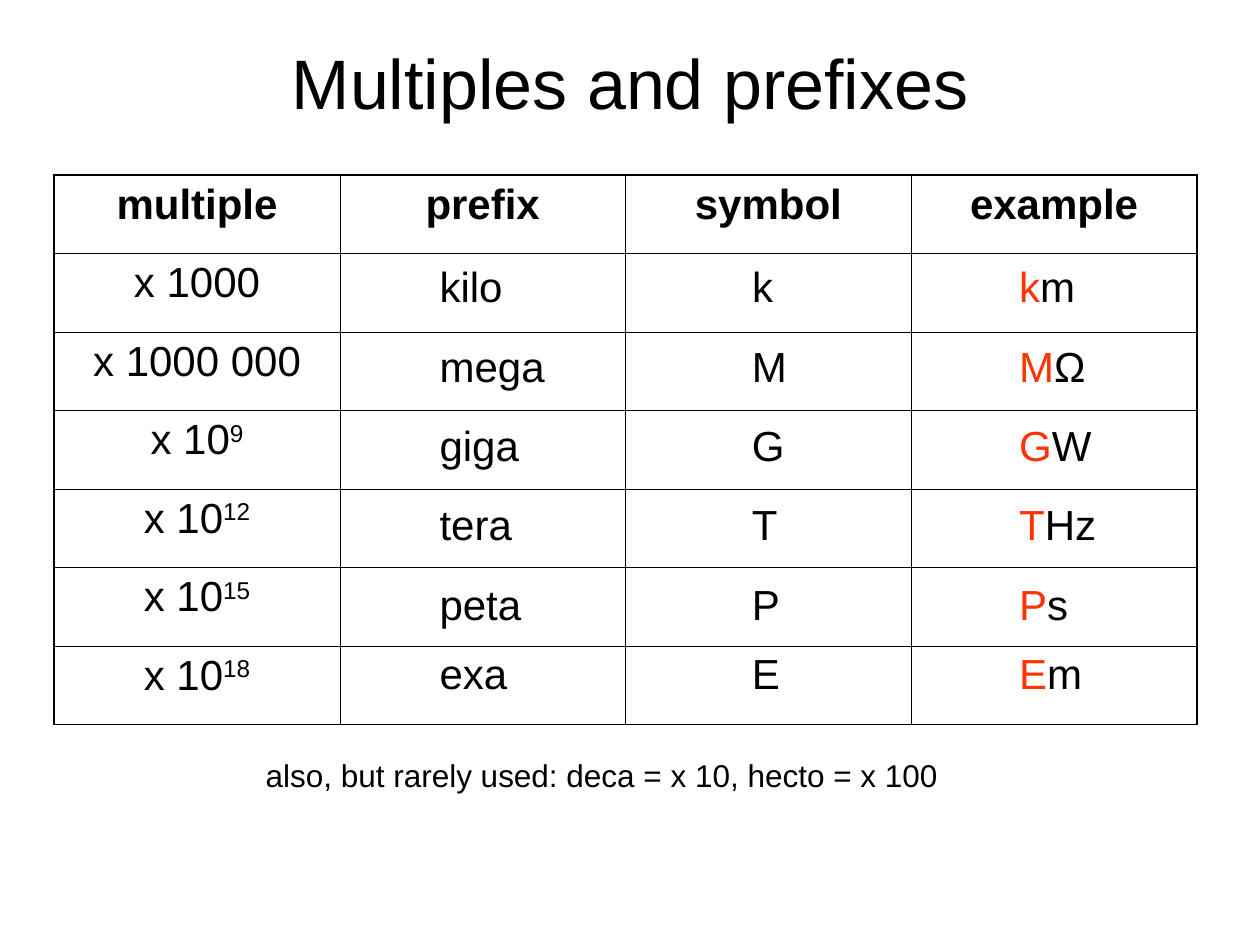
from dataclasses import dataclass

from lxml.etree import SubElement
from pptx import Presentation
from pptx.dml.color import RGBColor
from pptx.enum.text import MSO_ANCHOR, MSO_AUTO_SIZE, PP_ALIGN
from pptx.oxml.ns import qn
from pptx.util import Inches, Pt

BLACK = RGBColor(0x00, 0x00, 0x00)
RED = RGBColor(0xFF, 0x33, 0x00)
FONT = "Arial"
INNER_LINE, OUTER_LINE = Pt(0.45), Pt(1.08)

HEADERS = ["multiple", "prefix", "symbol", "example"]
LABEL_LEFTS = [3.39, 5.87, 7.99]
FIRST_LABEL_TOP, LABEL_STEP = 2.02, 0.63


@dataclass
class Span:
    text: str
    color: RGBColor = BLACK
    bold: bool = False
    superscript: bool = False


@dataclass
class Multiple:
    base: str
    exponent: str
    prefix: str
    symbol: str
    unit: str
    widths: tuple[float, float, float] = (0.94, 0.94, 0.94)


MULTIPLES = [
    Multiple("x 1000", "", "kilo", "k", "m", (0.71, 0.71, 0.71)),
    Multiple("x 1000 000", "", "mega", "M", "Ω", (1.18, 0.63, 0.79)),
    Multiple("x 10", "9", "giga", "G", "W"),
    Multiple("x 10", "12", "tera", "T", "Hz"),
    Multiple("x 10", "15", "peta", "P", "s"),
    Multiple("x 10", "18", "exa", "E", "m"),
]


def write_spans(para, spans: list[Span], size: float, space_before: float = 0) -> None:
    para.space_before = Pt(space_before)
    for span in spans:
        run = para.add_run()
        run.text = span.text
        run.font.name = FONT
        run.font.size = Pt(size)
        run.font.bold = span.bold
        run.font.color.rgb = span.color
        if span.superscript:
            run.font._element.set("baseline", "30000")


def add_text(slide, left: float, top: float, width: float, height: float,
             spans: list[Span], size: float, space_before: float = 0):
    box = slide.shapes.add_textbox(Inches(left), Inches(top), Inches(width), Inches(height))
    frame = box.text_frame
    frame.word_wrap = True
    frame.auto_size = MSO_AUTO_SIZE.SHAPE_TO_FIT_TEXT
    write_spans(frame.paragraphs[0], spans, size, space_before)
    return box


def set_borders(cell, widths: dict[str, int]) -> None:
    properties = cell._tc.get_or_add_tcPr()
    for side in ("lnL", "lnR", "lnT", "lnB"):
        line = SubElement(properties, qn(f"a:{side}"), w=str(int(widths[side])))
        fill = SubElement(line, qn("a:solidFill"))
        SubElement(fill, qn("a:srgbClr"), val=str(BLACK))


def add_grid(slide) -> None:
    row_count, column_count = len(MULTIPLES) + 1, len(HEADERS)
    table = slide.shapes.add_table(row_count, column_count, Inches(0.43), Inches(1.39),
                                   Inches(9.07), Inches(4.36)).table
    table.first_row = False
    table.horz_banding = False

    # Thin inner lines, heavier outline
    for row in range(row_count):
        for column in range(column_count):
            cell = table.cell(row, column)
            at_edge = {"lnL": column == 0, "lnR": column == column_count - 1,
                       "lnT": row == 0, "lnB": row == row_count - 1}
            set_borders(cell, {side: OUTER_LINE if edge else INNER_LINE
                               for side, edge in at_edge.items()})
            cell.fill.background()

    # Header row and first column
    texts = {(0, column): [Span(header, bold=True)] for column, header in enumerate(HEADERS)}
    for row, multiple in enumerate(MULTIPLES, start=1):
        texts[row, 0] = [Span(multiple.base)]
        if multiple.exponent:
            texts[row, 0].append(Span(multiple.exponent, superscript=True))
    for (row, column), spans in texts.items():
        para = table.cell(row, column).text_frame.paragraphs[0]
        para.alignment = PP_ALIGN.CENTER
        write_spans(para, spans, 24, 6)


def add_labels(slide) -> None:
    for index, multiple in enumerate(MULTIPLES):
        top = FIRST_LABEL_TOP + index * LABEL_STEP
        if index == len(MULTIPLES) - 1:
            top = 5.09  # the last row sits a little higher
        columns = [
            [Span(multiple.prefix)],
            [Span(multiple.symbol)],
            [Span(multiple.symbol, RED), Span(multiple.unit)],
        ]
        for left, width, spans in zip(LABEL_LEFTS, multiple.widths, columns):
            add_text(slide, left, top, width, 0.5, spans, 24, 15)


def main() -> None:
    deck = Presentation()
    deck.slide_width, deck.slide_height = Inches(10), Inches(7.5)
    page = deck.slides.add_slide(deck.slide_layouts[6])

    # Title
    title = add_text(page, 0.5, 0.3, 9, 0.69, [Span("Multiples and prefixes")], 40)
    title.text_frame.auto_size = MSO_AUTO_SIZE.NONE
    title.text_frame.vertical_anchor = MSO_ANCHOR.MIDDLE
    title.text_frame.paragraphs[0].alignment = PP_ALIGN.CENTER

    # Table, its labels and the closing remark
    add_grid(page)
    add_labels(page)
    add_text(page, 2.01, 5.95, 5.83, 0.4,
             [Span("also, but rarely used: deca = x 10, hecto = x 100")], 18, 11.2)

    deck.save("out.pptx")


if __name__ == "__main__":
    main()
